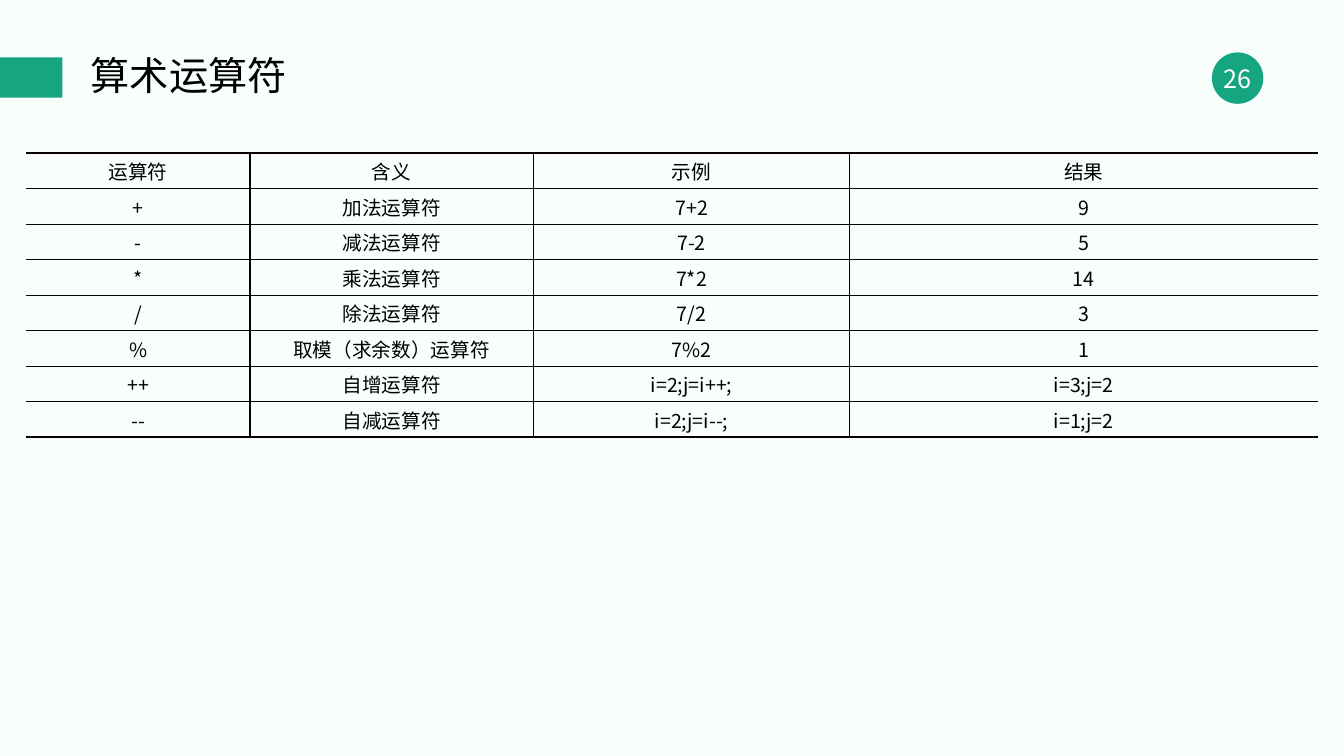
from lxml import etree
from pptx import Presentation
from pptx.dml.color import RGBColor
from pptx.enum import shapes, text
from pptx.oxml import ns
from pptx.util import Pt

PX = 9144
FONT = "Noto Sans CJK SC"
COLORS = {"bg": "F8FEFC", "accent": "15A681", "line": "080000", "text": "000000", "number": "FFFFFF"}
COLUMN_WIDTHS = [222, 281, 314, 464]
OPERATORS = [
    ["运算符", "含义", "示例", "结果"],
    ["+", "加法运算符", "7+2", "9"],
    ["-", "减法运算符", "7-2", "5"],
    ["*", "乘法运算符", "7*2", "14"],
    ["/", "除法运算符", "7/2", "3"],
    ["%", "取模（求余数）运算符", "7%2", "1"],
    ["++", "自增运算符", "i=2;j=i++;", "i=3;j=2"],
    ["--", "自减运算符", "i=2;j=i--;", "i=1;j=2"],
]


def write(tf, words, size, color, align):
    tf.text = words
    p = tf.paragraphs[0]
    p.alignment = align
    r = p.runs[0]
    r.font.size = Pt(size)
    r.font.name = FONT
    r.font.color.rgb = RGBColor.from_string(COLORS[color])
    etree.SubElement(r.font._element, ns.qn("a:ea"), typeface=FONT)
    return p


def add_border(cell, side, width):
    tcPr = cell._tc.get_or_add_tcPr()
    ln = etree.SubElement(tcPr, ns.qn(f"a:ln{side}"), w=str(Pt(width)))
    if width:
        fill = etree.SubElement(ln, ns.qn("a:solidFill"))
        etree.SubElement(fill, ns.qn("a:srgbClr"), val=COLORS["line"])
    else:
        etree.SubElement(ln, ns.qn("a:noFill"))


prs = Presentation()
prs.slide_width, prs.slide_height = 1333 * PX, 750 * PX
s = prs.slides.add_slide(prs.slide_layouts[5])
s.background.fill.solid()
s.background.fill.fore_color.rgb = RGBColor.from_string(COLORS["bg"])

badge = s.shapes.add_shape(shapes.MSO_SHAPE.OVAL, 1202 * PX, 52 * PX, 51 * PX, 51 * PX)
bar = s.shapes.add_shape(shapes.MSO_SHAPE.RECTANGLE, 0, 57 * PX, 62 * PX, 40 * PX)
for sp in (badge, bar):
    sp.shadow.inherit = False
    sp.fill.solid()
    sp.fill.fore_color.rgb = RGBColor.from_string(COLORS["accent"])
    sp.line.fill.background()

tf = badge.text_frame
tf.word_wrap = False
tf.margin_left = tf.margin_right = tf.margin_top = tf.margin_bottom = 0
tf.vertical_anchor = text.MSO_ANCHOR.MIDDLE
write(tf, "26", 18, "number", text.PP_ALIGN.CENTER)

title = s.shapes.title
title.left, title.top, title.width, title.height = 80 * PX, 52 * PX, 745 * PX, 51 * PX
tf = title.text_frame
tf.auto_size = text.MSO_AUTO_SIZE.NONE
tf.vertical_anchor = text.MSO_ANCHOR.MIDDLE
p = write(tf, "算术运算符", 28, "text", text.PP_ALIGN.LEFT)
p.line_spacing = 0.9

last_row, last_col = len(OPERATORS) - 1, len(COLUMN_WIDTHS) - 1
frame = s.shapes.add_table(last_row + 1, last_col + 1, 26 * PX, 152 * PX, sum(COLUMN_WIDTHS) * PX, 282 * PX)
table = frame.table
table.first_row = table.horz_banding = False
for column, width in zip(table.columns, COLUMN_WIDTHS):
    column.width = width * PX

for i, row in enumerate(OPERATORS):
    for j, words in enumerate(row):
        cell = table.cell(i, j)
        cell.margin_left = cell.margin_right = 8 * PX
        cell.margin_top = cell.margin_bottom = 2 * PX
        cell.vertical_anchor = text.MSO_ANCHOR.MIDDLE
        write(cell.text_frame, words, 14, "text", text.PP_ALIGN.CENTER)
        add_border(cell, "L", 1 if j else 0)
        add_border(cell, "R", 1 if j < last_col else 0)
        add_border(cell, "T", 1 if i else 1.5)
        add_border(cell, "B", 1 if i < last_row else 1.5)
        cell.fill.background()

prs.save("out.pptx")
